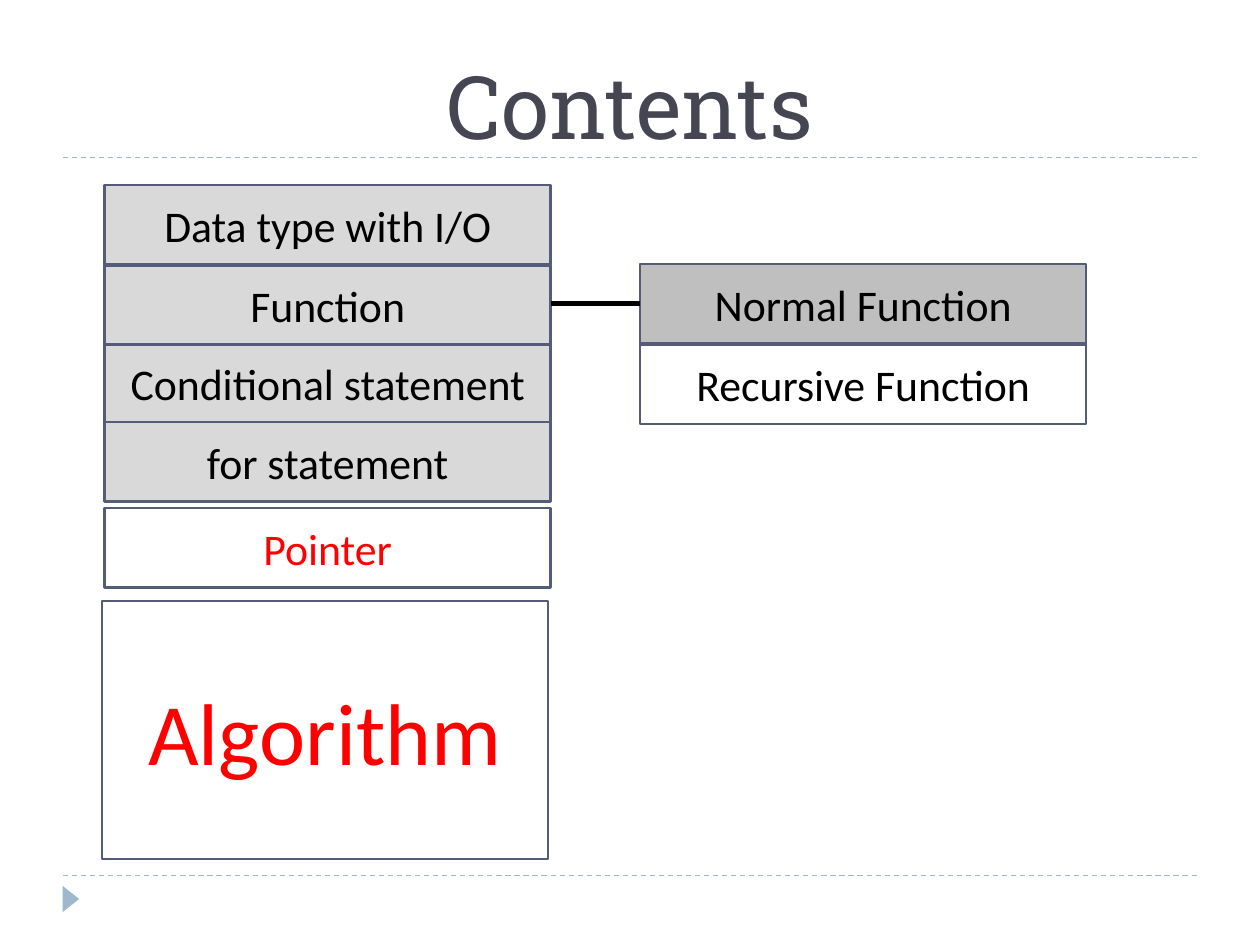
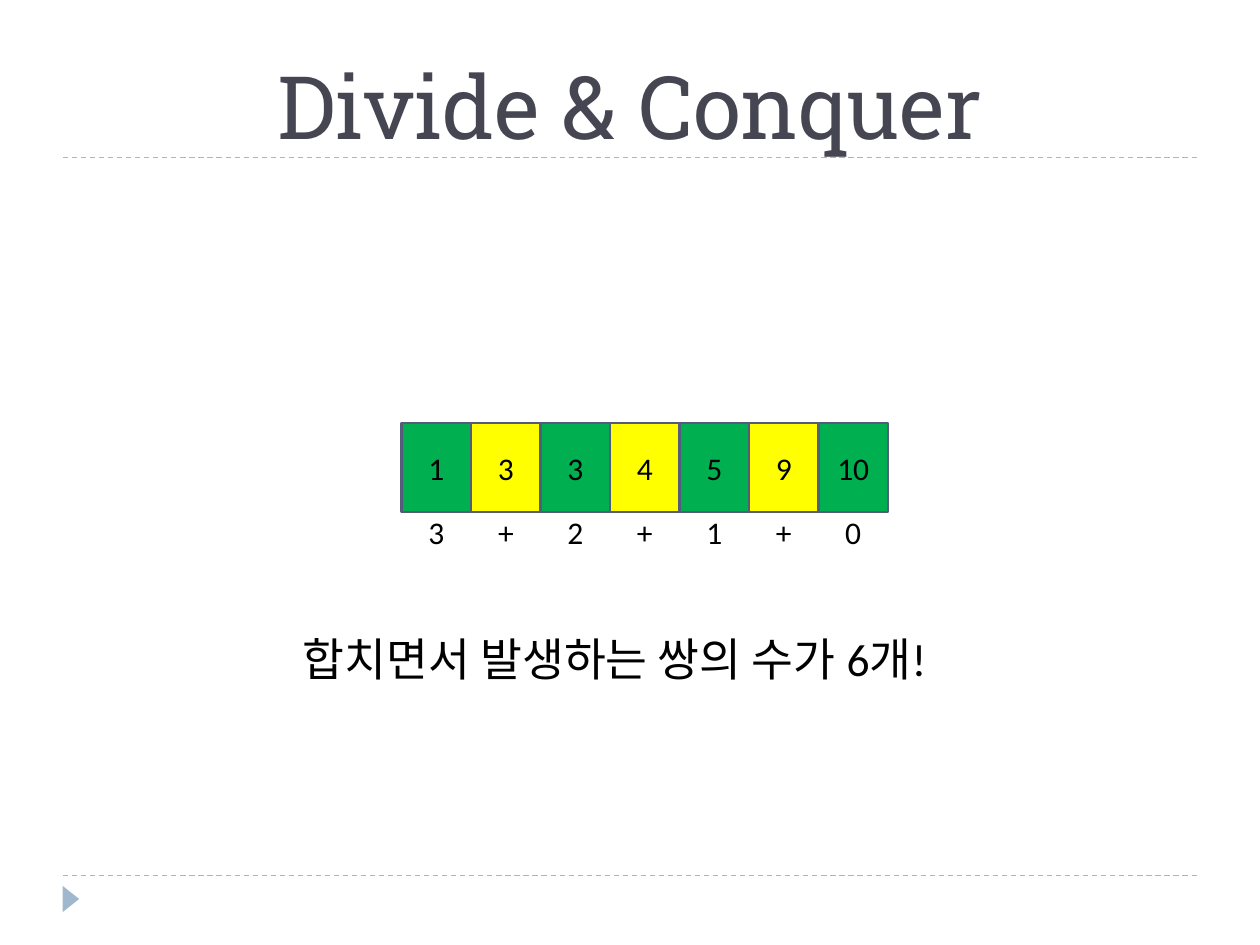
import pptx
import pptx.util
import pptx.dml.color
import pptx.enum.dml
import pptx.enum.shapes
import pptx.enum.text
import pptx.oxml.ns
import lxml.etree

Pt = pptx.util.Pt
Shapes = pptx.enum.shapes.MSO_SHAPE
Align = pptx.enum.text.PP_ALIGN
Anchor = pptx.enum.text.MSO_ANCHOR

BODY_FONT, TITLE_FONT = "Calibri", "Roboto Slab"
BLACK, RED, WHITE = "000000", "FF0000", "FFFFFF"
LIGHT_GREY, MID_GREY = "D9D9D9", "BFBFBF"
GREEN, YELLOW = "00B050", "FFFF00"
OUTLINE, ACCENT, TITLE_COLOR = "545C79", "9FB8CD", "464653"

RULE_LEFT, RULE_RIGHT = 36, 684
RULE_TOPS = (90, 500.4)

TOPIC_WIDTH, TOPIC_HEIGHT = 254.9, 45.4
TOPIC_LEFT, BRANCH_LEFT = 59.8, 365.8
BRANCH_LINE_TOP = 173.5
TOPICS = [
    ("Data type with I/O", 105.8, LIGHT_GREY, BLACK),
    ("Conditional statement", 196, LIGHT_GREY, BLACK),
    ("for statement", 241.2, LIGHT_GREY, BLACK),
    ("Pointer", 290.2, WHITE, RED),
    ("Function", 151.6, LIGHT_GREY, BLACK),
]
BRANCHES = [
    ("Normal Function", 150.8, MID_GREY, BLACK),
    ("Recursive Function", 197, WHITE, BLACK),
]
ALGORITHM_BOX = (58.3, 343.4, TOPIC_WIDTH, 147.6)

SORTED_VALUES = ["1", "3", "3", "4", "5", "9", "10"]
PAIR_COUNTS = ["3", "+", "2", "+", "1", "+", "0"]
CELL_LEFT, CELL_TOP, CELL_WIDTH, CELL_HEIGHT = 229.5, 241.7, 39.7, 51
COUNT_TOP, COUNT_HEIGHT = 281, 45.4
CONCLUSION = "합치면서 발생하는 쌍의 수가 6개!"


def color(value):
    return pptx.dml.color.RGBColor.from_string(value)


def write(shape, text, size, text_color=BLACK, font=BODY_FONT,
          align=Align.CENTER, anchor=Anchor.MIDDLE):
    frame = shape.text_frame
    frame.word_wrap = True
    frame.margin_left = frame.margin_right = 0
    frame.margin_top = frame.margin_bottom = 0
    frame.vertical_anchor = anchor
    paragraph = frame.paragraphs[0]
    paragraph.alignment = align
    run = paragraph.add_run()
    run.text = text
    run.font.size = Pt(size)
    run.font.name = font
    run.font.color.rgb = color(text_color)


def add_text(slide, box, text, size, **style):
    write(slide.shapes.add_textbox(*map(Pt, box)), text, size, **style)


def add_box(slide, box, text, size, fill=None, text_color=BLACK):
    shape = slide.shapes.add_shape(Shapes.RECTANGLE, *map(Pt, box))
    shape.shadow.inherit = False
    if fill:
        shape.fill.solid()
        shape.fill.fore_color.rgb = color(fill)
    else:
        shape.fill.background()
    shape.line.color.rgb = color(OUTLINE)
    shape.line.width = Pt(1.5)
    write(shape, text, size, text_color)


def add_rule(slide, left, right, top, line_color, width, dashed=False):
    rule = slide.shapes.add_connector(
        pptx.enum.shapes.MSO_CONNECTOR.STRAIGHT, Pt(left), Pt(top), Pt(right), Pt(top))
    rule.line.color.rgb = color(line_color)
    rule.line.width = Pt(width)
    if dashed:
        rule.line.dash_style = pptx.enum.dml.MSO_LINE.DASH
    properties = rule._element.find(pptx.oxml.ns.qn("p:spPr"))
    lxml.etree.SubElement(properties, pptx.oxml.ns.qn("a:effectLst"))


def add_slide(presentation, title):
    slide = presentation.slides.add_slide(presentation.slide_layouts[6])
    for top in RULE_TOPS:
        add_rule(slide, RULE_LEFT, RULE_RIGHT, top, ACCENT, 0.75, dashed=True)
    marker = slide.shapes.add_shape(
        Shapes.ISOSCELES_TRIANGLE, Pt(33), Pt(509), Pt(15), Pt(9.4))
    marker.rotation = 90
    marker.shadow.inherit = False
    marker.fill.solid()
    marker.fill.fore_color.rgb = color(ACCENT)
    marker.line.fill.background()
    add_text(slide, (36, 12, 648, 78), title, 50, text_color=TITLE_COLOR,
             font=TITLE_FONT, anchor=Anchor.BOTTOM)
    return slide


def build_contents(presentation):
    slide = add_slide(presentation, "Contents")
    for left, entries in ((TOPIC_LEFT, TOPICS), (BRANCH_LEFT, BRANCHES)):
        for text, top, fill, text_color in entries:
            add_box(slide, (left, top, TOPIC_WIDTH, TOPIC_HEIGHT), text, 25, fill, text_color)
    add_box(slide, ALGORITHM_BOX, "Algorithm", 50, text_color=RED)
    add_rule(slide, TOPIC_LEFT + TOPIC_WIDTH, BRANCH_LEFT, BRANCH_LINE_TOP, BLACK, 3)


def build_divide_and_conquer(presentation):
    slide = add_slide(presentation, "Divide & Conquer")
    for index, (value, count) in enumerate(zip(SORTED_VALUES, PAIR_COUNTS)):
        left = CELL_LEFT + index * CELL_WIDTH
        fill = YELLOW if index % 2 else GREEN
        add_box(slide, (left, CELL_TOP, CELL_WIDTH, CELL_HEIGHT), value, 18, fill)
        add_text(slide, (left, COUNT_TOP, CELL_WIDTH, COUNT_HEIGHT), count, 18)
    add_text(slide, (173, 356, 450, 40), CONCLUSION, 26, align=Align.LEFT)


presentation = pptx.Presentation()
presentation.slide_width, presentation.slide_height = Pt(720), Pt(540)
build_contents(presentation)
build_divide_and_conquer(presentation)
presentation.save("out.pptx")
